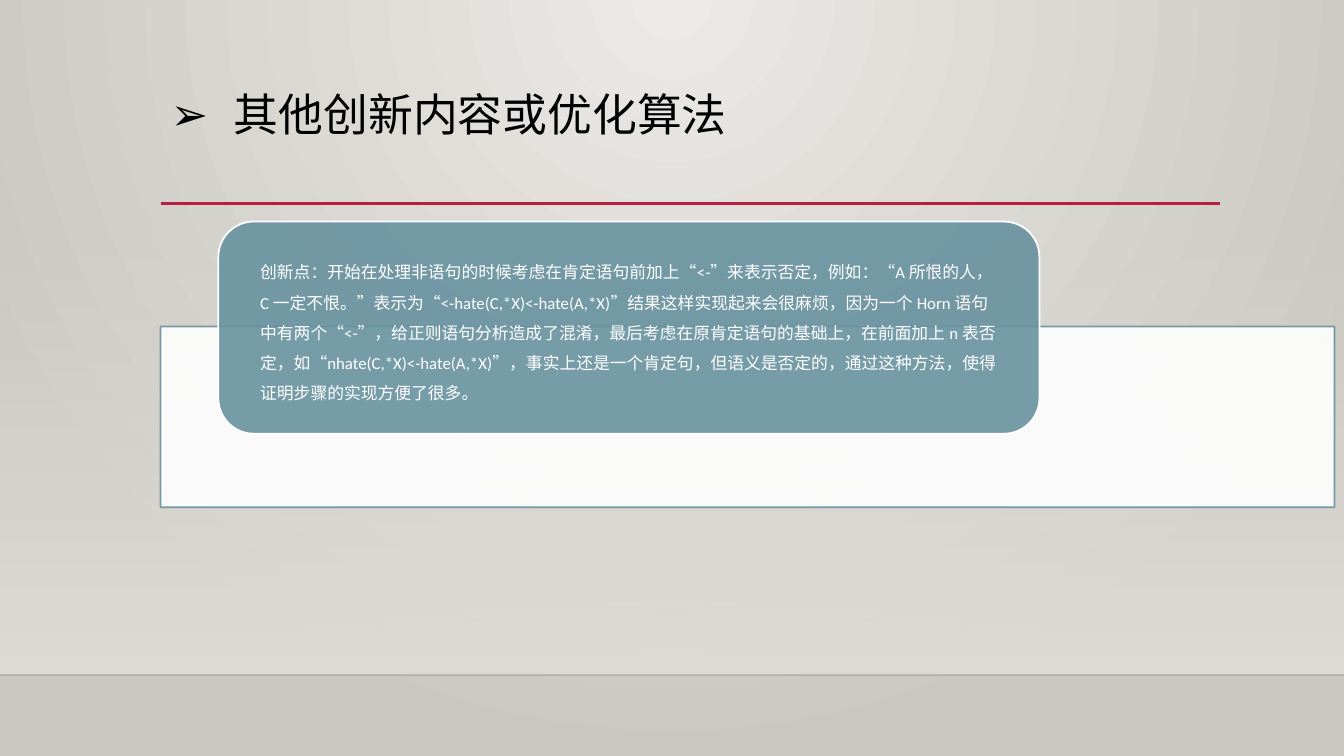
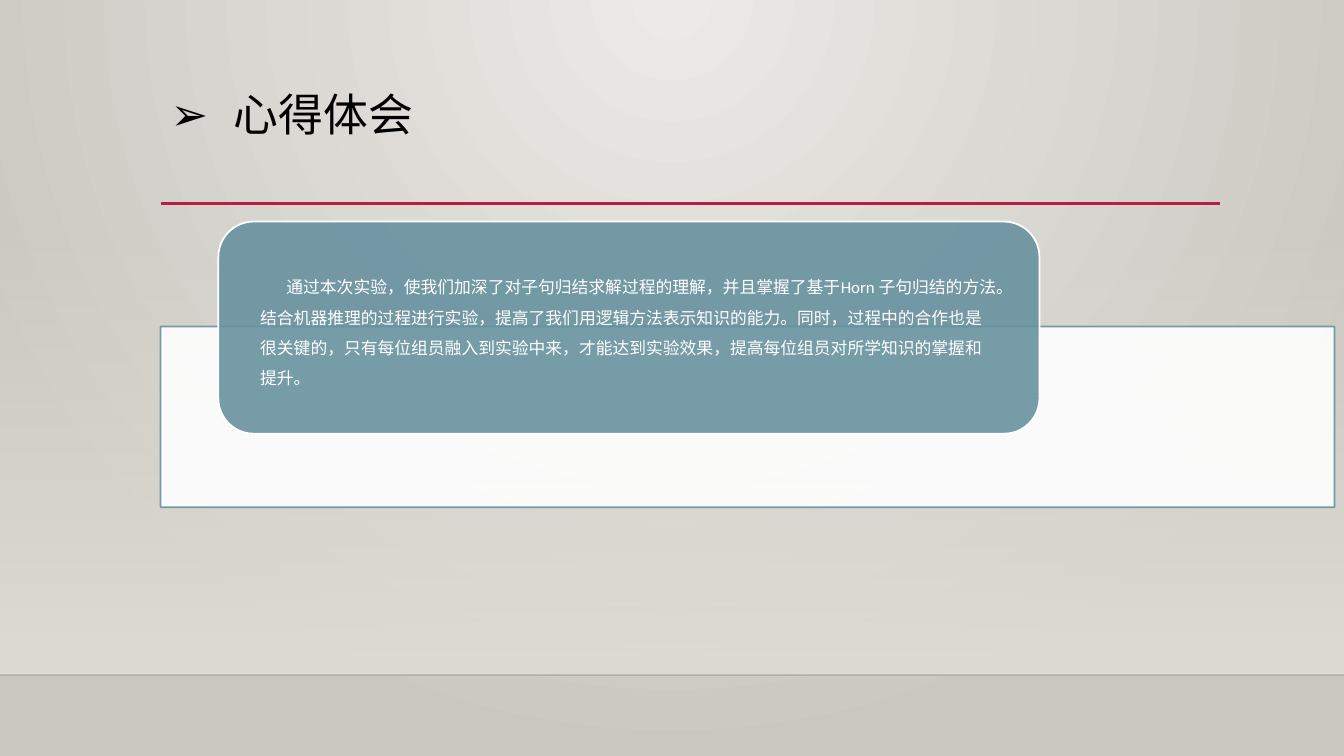
from dataclasses import dataclass

from lxml.etree import SubElement
from pptx import Presentation
from pptx.dml.color import RGBColor
from pptx.enum.shapes import MSO_CONNECTOR as Connector, MSO_SHAPE as Shape
from pptx.enum.text import MSO_ANCHOR as Anchor, MSO_AUTO_SIZE as AutoSize, PP_ALIGN as Align
from pptx.oxml.ns import qn
from pptx.util import Pt

EMU_PER_PX = 9525
TITLE_ONLY = 5
WIDTH, HEIGHT = 1280, 720
LEFT = 153
FLOOR_Y = 643


@dataclass(frozen=True)
class Theme:
    font: str = "Calibri"
    bullet_font: str = "Arial"
    title_size: int = 32
    body_size: int = 12
    glow: str = "ECEAE7"
    edge: str = "CAC7C1"
    wall: str = "DFDBD5"
    floor_line: str = "000001"
    accent: str = "B71E42"
    teal: str = "6892A0"
    white: str = "FFFFFF"
    black: str = "000000"


THEME = Theme()

SECTIONS = [
    # title, body, first-line indent in px
    ("其他创新内容或优化算法",
     "创新点：开始在处理非语句的时候考虑在肯定语句前加上“<-”来表示否定，"
     "例如：“A 所恨的人，C 一定不恨。”表示为“<-hate(C,*X)<-hate(A,*X)”"
     "结果这样实现起来会很麻烦，因为一个 Horn 语句中有两个“<-”，"
     "给正则语句分析造成了混淆，最后考虑在原肯定语句的基础上，在前面加上 n 表否定，"
     "如“nhate(C,*X)<-hate(A,*X)”，事实上还是一个肯定句，但语义是否定的，"
     "通过这种方法，使得证明步骤的实现方便了很多。", 0),
    ("心得体会",
     "通过本次实验，使我们加深了对子句归结求解过程的理解，"
     "并且掌握了基于Horn 子句归结的方法。结合机器推理的过程进行实验，"
     "提高了我们用逻辑方法表示知识的能力。同时，过程中的合作也是很关键的，"
     "只有每位组员融入到实验中来，才能达到实验效果，"
     "提高每位组员对所学知识的掌握和提升。", 25),
]


def px(length):
    return length * EMU_PER_PX


def rgb(color):
    return RGBColor.from_string(color)


def set_opacity(item, *percents):
    """Give the colours of an item, fill before line, their opacity."""
    colors = item.element.spPr.iter(qn("a:srgbClr"))
    for color, percent in zip(colors, percents):
        SubElement(color, qn("a:alpha"), val=str(percent * 1000))


def set_stops(fill, *colors):
    fill.gradient()
    for stop, color in zip(fill.gradient_stops, colors):
        stop.color.rgb = rgb(color)


def style_runs(paragraph, size, color):
    for run in paragraph.runs:
        run.font.name = THEME.font
        run.font.size = Pt(size)
        run.font.color.rgb = rgb(color)


# Shared backdrop
def paint_background(master):
    set_stops(master.background.fill, THEME.glow, THEME.edge)
    gradient = master.element.find(".//" + qn("p:bgPr")).find(qn("a:gradFill"))
    gradient.remove(gradient.find(qn("a:lin")))
    circle = SubElement(gradient, qn("a:path"), path="circle")
    SubElement(circle, qn("a:fillToRect"), l="43000", t="0", r="43000", b="100000")


def add_rule(slide, left, right, y, color, weight):
    rule = slide.shapes.add_connector(
        Connector.STRAIGHT, px(left), px(y), px(right), px(y))
    rule.line.color.rgb = rgb(color)
    rule.line.width = Pt(weight)
    SubElement(rule.element.spPr, qn("a:effectLst"))
    return rule


def add_backdrop(slide):
    wall_top = 212
    wall = slide.shapes.add_shape(
        Shape.RECTANGLE, 0, px(wall_top), px(WIDTH), px(FLOOR_Y - wall_top))
    wall.shadow.inherit = False
    set_stops(wall.fill, THEME.wall, THEME.wall)
    wall.fill.gradient_angle = 270
    wall.line.fill.background()
    set_opacity(wall, 0, 100)

    floor = add_rule(slide, 0, WIDTH, FLOOR_Y, THEME.floor_line, 1)
    set_opacity(floor, 20)
    add_rule(slide, LEFT, 1162, 194, THEME.accent, 2.5)


# Title with an arrow bullet
def set_title(slide, text):
    title = slide.shapes.title
    title.left, title.top, title.width, title.height = map(px, (LEFT, 84, 1008, 110))
    frame = title.text_frame
    frame.text = text
    frame.auto_size = AutoSize.NONE
    frame.vertical_anchor = Anchor.TOP
    heading = frame.paragraphs[0]
    properties = heading._p.get_or_add_pPr()
    properties.set("marL", str(px(60)))
    properties.set("indent", str(px(-60)))
    SubElement(properties, qn("a:buFont"), typeface=THEME.bullet_font)
    SubElement(properties, qn("a:buChar"), char="➢")
    heading.alignment = Align.LEFT
    heading.line_spacing = 0.9
    style_runs(heading, THEME.title_size, THEME.black)


# Panel and text card
def add_block(slide, kind, box, fill, line):
    block = slide.shapes.add_shape(kind, *map(px, box))
    block.shadow.inherit = False
    block.fill.solid()
    block.fill.fore_color.rgb = rgb(fill)
    block.line.color.rgb = rgb(line)
    block.line.width = Pt(1.25)
    return block


def add_card(slide, text, indent):
    panel = add_block(slide, Shape.RECTANGLE, (LEFT, 311, 1118, 172),
                      THEME.white, THEME.teal)
    set_opacity(panel, 90, 90)
    card = add_block(slide, Shape.ROUNDED_RECTANGLE, (208, 211, 782, 202),
                     THEME.teal, THEME.white)
    set_opacity(card, 90, 100)

    frame = card.text_frame
    frame.text = text
    frame.word_wrap = True
    frame.vertical_anchor = Anchor.MIDDLE
    frame.margin_left = frame.margin_right = px(30)
    frame.margin_top = frame.margin_bottom = 0
    body = frame.paragraphs[0]
    body._p.get_or_add_pPr().set("indent", str(px(indent)))
    body.alignment = Align.LEFT
    body.line_spacing = 1.5
    style_runs(body, THEME.body_size, THEME.white)


def main():
    deck = Presentation()
    deck.slide_width, deck.slide_height = px(WIDTH), px(HEIGHT)
    paint_background(deck.slide_master)
    for title, body, indent in SECTIONS:
        slide = deck.slides.add_slide(deck.slide_layouts[TITLE_ONLY])
        add_backdrop(slide)
        set_title(slide, title)
        add_card(slide, body, indent)
    deck.save("out.pptx")


if __name__ == "__main__":
    main()
